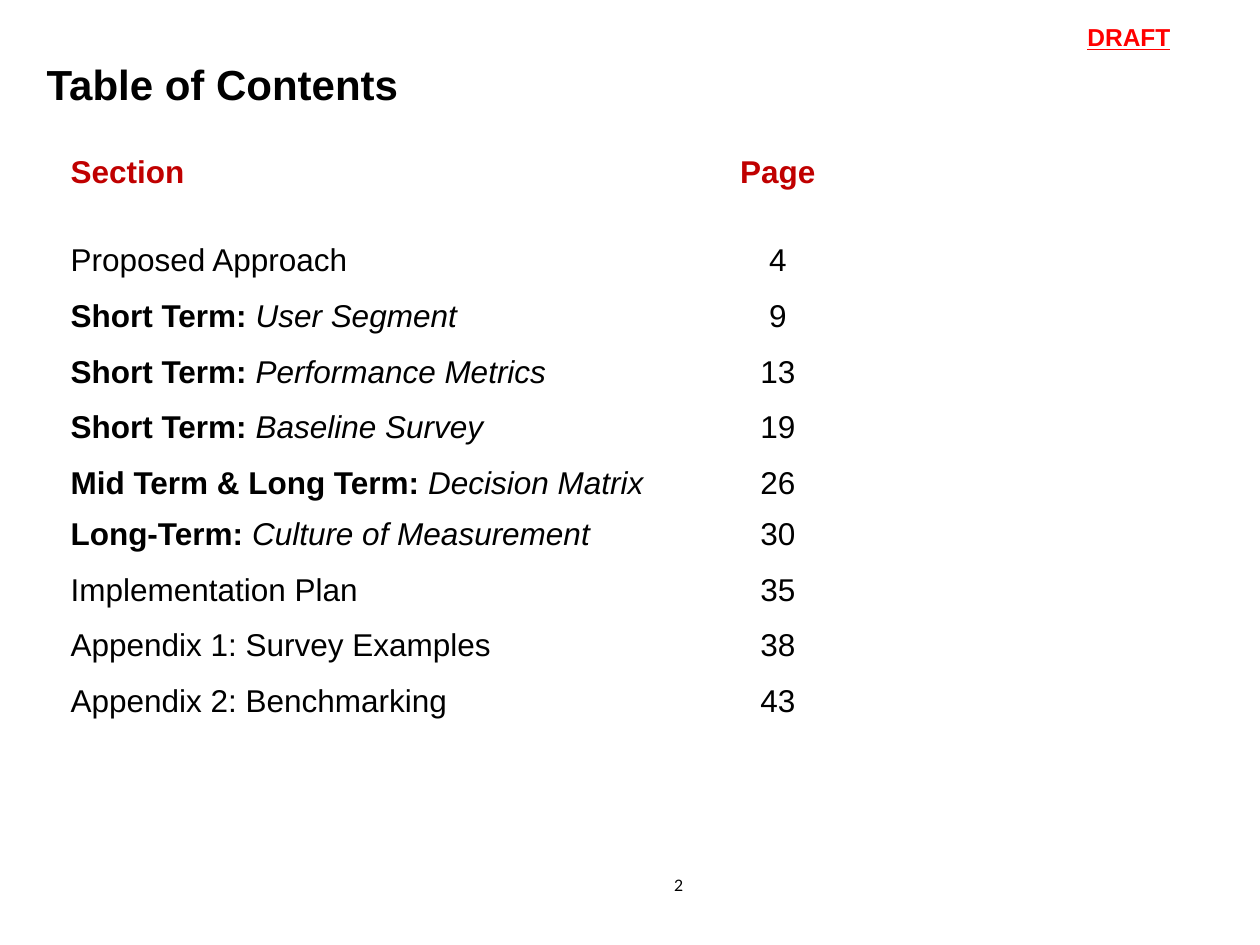
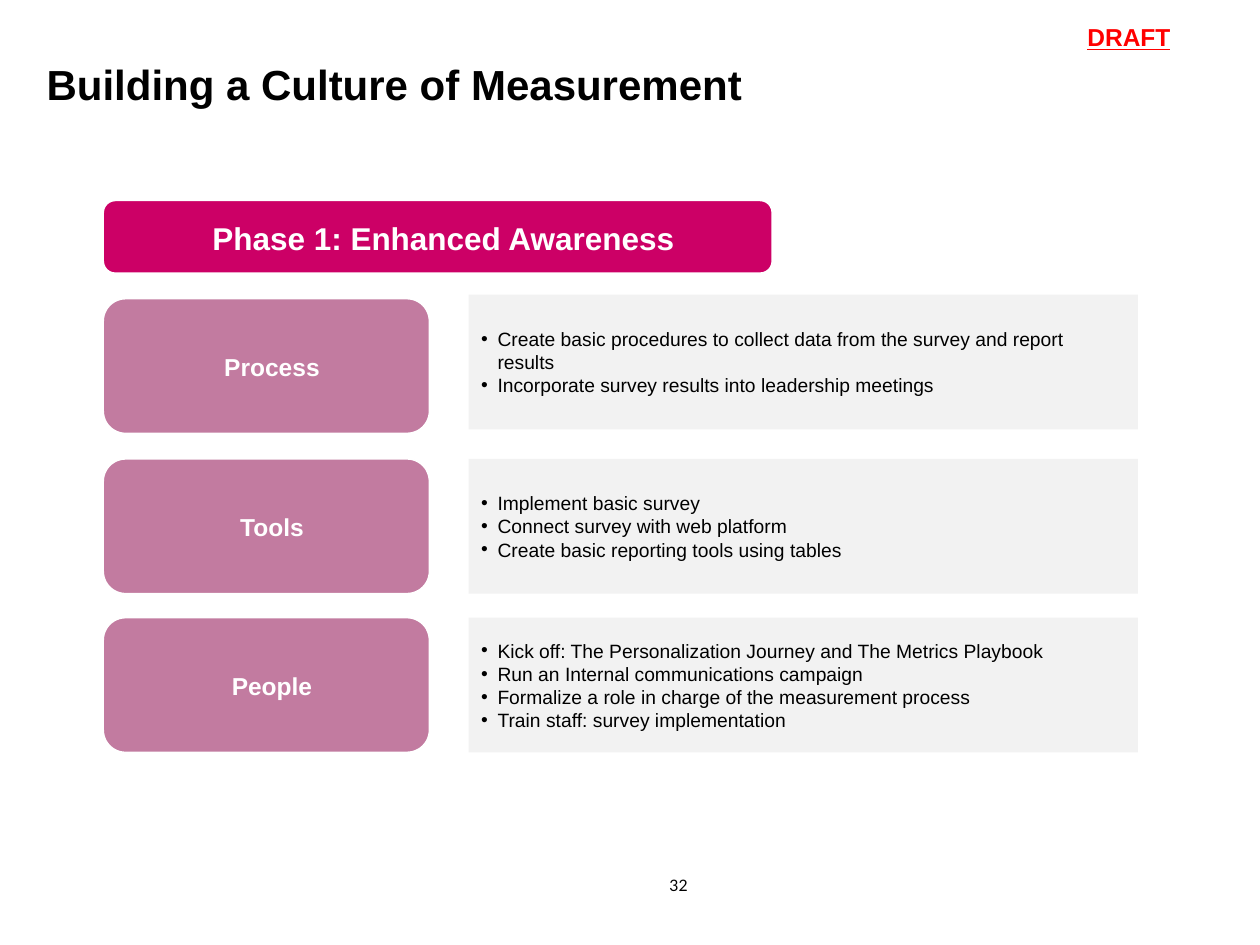
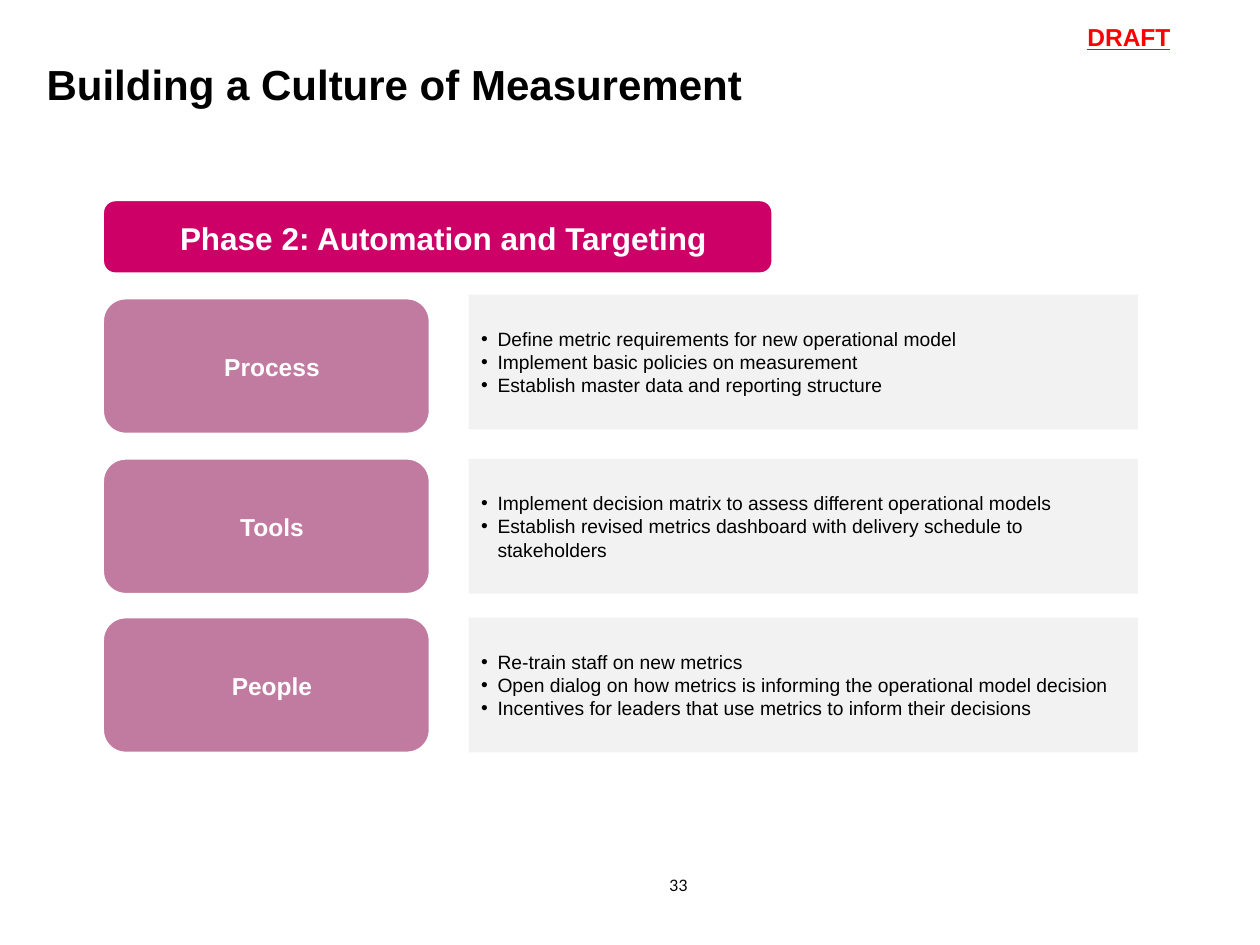
from lxml import etree
from pptx import Presentation
from pptx.dml.color import RGBColor
from pptx.enum.shapes import MSO_SHAPE
from pptx.enum.text import MSO_ANCHOR, MSO_AUTO_SIZE, PP_ALIGN
from pptx.oxml.ns import qn
from pptx.util import Cm, Pt

LEFT, CENTER = PP_ALIGN.LEFT, PP_ALIGN.CENTER
TOP, MIDDLE = MSO_ANCHOR.TOP, MSO_ANCHOR.MIDDLE
ROUNDED, RECTANGLE = MSO_SHAPE.ROUNDED_RECTANGLE, MSO_SHAPE.RECTANGLE
TITLE_ONLY = 5

COLORS = {
    "black": "000000",
    "white": "FFFFFF",
    "draft": "FF0000",
    "heading": "C00000",
    "accent": "CC0066",
    "label": "C27BA0",
    "panel": "F2F2F2",
}
TEXT_INSETS = (0.25, 0.13, 0.25, 0.13)
DRAFT_INSETS = (0.25, 0.25, 0.25, 0.25)
LABEL_INSETS = (0.46, 0.1, 0.23, 0.1)
BULLET_INDENT = Cm(0.33)

# Label name, top of the label and top of its panel, in centimetres
PHASE_ROWS = (
    ("Process", 6.02, 5.94),
    ("Tools", 9.25, 9.25),
    ("People", 12.45, 12.45),
)

CONTENTS = (
    ("", "Proposed Approach", 4),
    ("Short Term: ", "User Segment", 9),
    ("Short Term: ", "Performance Metrics", 13),
    ("Short Term: ", "Baseline Survey", 19),
    ("Mid Term & Long Term: ", "Decision Matrix", 26),
    ("Long-Term: ", "Culture of Measurement", 30),
    ("", "Implementation Plan", 35),
    ("", "Appendix 1: Survey Examples", 38),
    ("", "Appendix 2: Benchmarking", 43),
)

PHASES = (
    (32, "Phase 1: Enhanced Awareness", (
        ("Create basic procedures to collect data from the survey and report results",
         "Incorporate survey results into leadership meetings"),
        ("Implement basic survey",
         "Connect survey with web platform",
         "Create basic reporting tools using tables"),
        ("Kick off: The Personalization Journey and The Metrics Playbook",
         "Run an Internal communications campaign",
         "Formalize a role in charge of the measurement process",
         "Train staff: survey implementation"),
    )),
    (33, "Phase 2: Automation and Targeting", (
        ("Define metric requirements for new operational model",
         "Implement basic policies on measurement",
         "Establish master data and reporting structure"),
        ("Implement decision matrix to assess different operational models",
         "Establish revised metrics dashboard with delivery schedule to stakeholders"),
        ("Re-train staff on new metrics",
         "Open dialog on how metrics is informing the operational model decision",
         "Incentives for leaders that use metrics to inform their decisions"),
    )),
)


def rgb(name):
    return RGBColor.from_string(COLORS[name])


def add_run(paragraph, text, size=18, color="black", font="Arial",
            bold=False, italic=False, underline=False):
    run = paragraph.add_run()
    run.text = text
    run.font.name = font
    run.font.size = Pt(size)
    run.font.color.rgb = rgb(color)
    run.font.bold = bold
    run.font.italic = italic
    run.font.underline = underline


def add_bullet(paragraph):
    properties = paragraph._p.get_or_add_pPr()
    properties.set("marL", str(BULLET_INDENT))
    properties.set("indent", str(-BULLET_INDENT))
    bullet_color = etree.SubElement(properties, qn("a:buClr"))
    etree.SubElement(bullet_color, qn("a:srgbClr"), val=COLORS["black"])
    etree.SubElement(properties, qn("a:buFont"), typeface="Arial")
    etree.SubElement(properties, qn("a:buChar"), char="•")


def write(text_frame, *lines, align=LEFT, anchor=TOP, insets=TEXT_INSETS,
          spacing=None, bullets=False, **run_format):
    """Fill a text frame with one paragraph for each line."""
    text_frame.word_wrap = True
    text_frame.auto_size = MSO_AUTO_SIZE.NONE
    text_frame.vertical_anchor = anchor
    (text_frame.margin_left, text_frame.margin_top,
     text_frame.margin_right, text_frame.margin_bottom) = map(Cm, insets)
    for index, line in enumerate(lines):
        paragraph = text_frame.add_paragraph() if index else text_frame.paragraphs[0]
        paragraph.alignment = align
        if spacing:
            paragraph.line_spacing = spacing
        if bullets:
            add_bullet(paragraph)
        add_run(paragraph, line, **run_format)


def set_bottom_border(cell, color):
    properties = cell._tc.get_or_add_tcPr()
    border = etree.Element(qn("a:lnB"), w=str(Pt(1)))
    fill = etree.SubElement(border, qn("a:solidFill"))
    etree.SubElement(fill, qn("a:srgbClr"), val=COLORS[color])
    properties.insert(0, border)


class Deck:
    def __init__(self):
        self.presentation = Presentation()
        self.presentation.slide_width = Cm(25.4)
        self.presentation.slide_height = Cm(19.05)
        self.slide = None

    def new_slide(self, title, page):
        layout = self.presentation.slide_layouts[TITLE_ONLY]
        self.slide = self.presentation.slides.add_slide(layout)
        shape = self.slide.shapes.title
        shape.left, shape.top, shape.width, shape.height = map(Cm, (0.69, 1.04, 23.22, 1.3))
        write(shape.text_frame, title, anchor=MIDDLE, size=24, bold=True)
        self.text((21.67, 0.2, 2.9, 1.04), "DRAFT", insets=DRAFT_INSETS,
                  size=14, color="draft", bold=True, underline=True)
        self.text((10.72, 17.53, 5.92, 1.32), str(page), align=CENTER, size=9, font="Lato")

    def text(self, box, *lines, **text_format):
        shape = self.slide.shapes.add_textbox(*map(Cm, box))
        write(shape.text_frame, *lines, **text_format)

    def block(self, kind, box, fill, *lines, line=None, **text_format):
        shape = self.slide.shapes.add_shape(kind, *map(Cm, box))
        shape.shadow.inherit = False
        shape.fill.solid()
        shape.fill.fore_color.rgb = rgb(fill)
        if line:
            shape.line.color.rgb = rgb(line)
            shape.line.width = Pt(1)
        else:
            shape.line.fill.background()
        write(shape.text_frame, *lines, anchor=MIDDLE, **text_format)

    def label(self, box, fill, text, size):
        self.block(ROUNDED, box, fill, text, line="white", align=CENTER, spacing=1.06,
                   insets=LABEL_INSETS, size=size, color="white", bold=True)

    def panel(self, box, lines):
        self.block(RECTANGLE, box, "panel", *lines, bullets=True, size=11)

    def contents_table(self, entries):
        heights = [1.78] + [1.04 if prefix.startswith("Mid") else 1.12
                            for prefix, _, _ in entries]
        frame = self.slide.shapes.add_table(len(heights), 2, Cm(1.17), Cm(3),
                                            Cm(16.62), Cm(sum(heights)))
        table = frame.table
        for column, width in zip(table.columns, (12.4, 4.22)):
            column.width = Cm(width)
        for row, height in zip(table.rows, heights):
            row.height = Cm(height)
            for cell in row.cells:
                cell.fill.background()

        for cell, heading, align in zip(table.rows[0].cells, ("Section", "Page"),
                                        (LEFT, CENTER)):
            paragraph = cell.text_frame.paragraphs[0]
            paragraph.alignment = align
            add_run(paragraph, heading, color="heading", bold=True)

        for index, (prefix, name, page) in enumerate(entries, start=1):
            section, number = table.rows[index].cells
            paragraph = section.text_frame.paragraphs[0]
            if prefix:
                add_run(paragraph, prefix, bold=True)
            add_run(paragraph, name, italic=bool(prefix))
            paragraph = number.text_frame.paragraphs[0]
            paragraph.alignment = CENTER
            add_run(paragraph, str(page))
            if index < len(entries):
                set_bottom_border(section, "accent")

    def phase_slide(self, page, phase, panels):
        self.new_slide("Building a Culture of Measurement", page)
        self.label((2.08, 4.04, 13.49, 1.47), "accent", phase, 18)
        for (name, label_top, panel_top), lines in zip(PHASE_ROWS, panels):
            self.label((2.08, label_top, 6.58, 2.72), "label", name, 14)
            self.panel((9.45, panel_top, 13.49, 2.72), lines)


def main():
    deck = Deck()
    deck.new_slide("Table of Contents", 2)
    deck.contents_table(CONTENTS)
    for page, phase, panels in PHASES:
        deck.phase_slide(page, phase, panels)
    deck.presentation.save("out.pptx")


if __name__ == "__main__":
    main()
